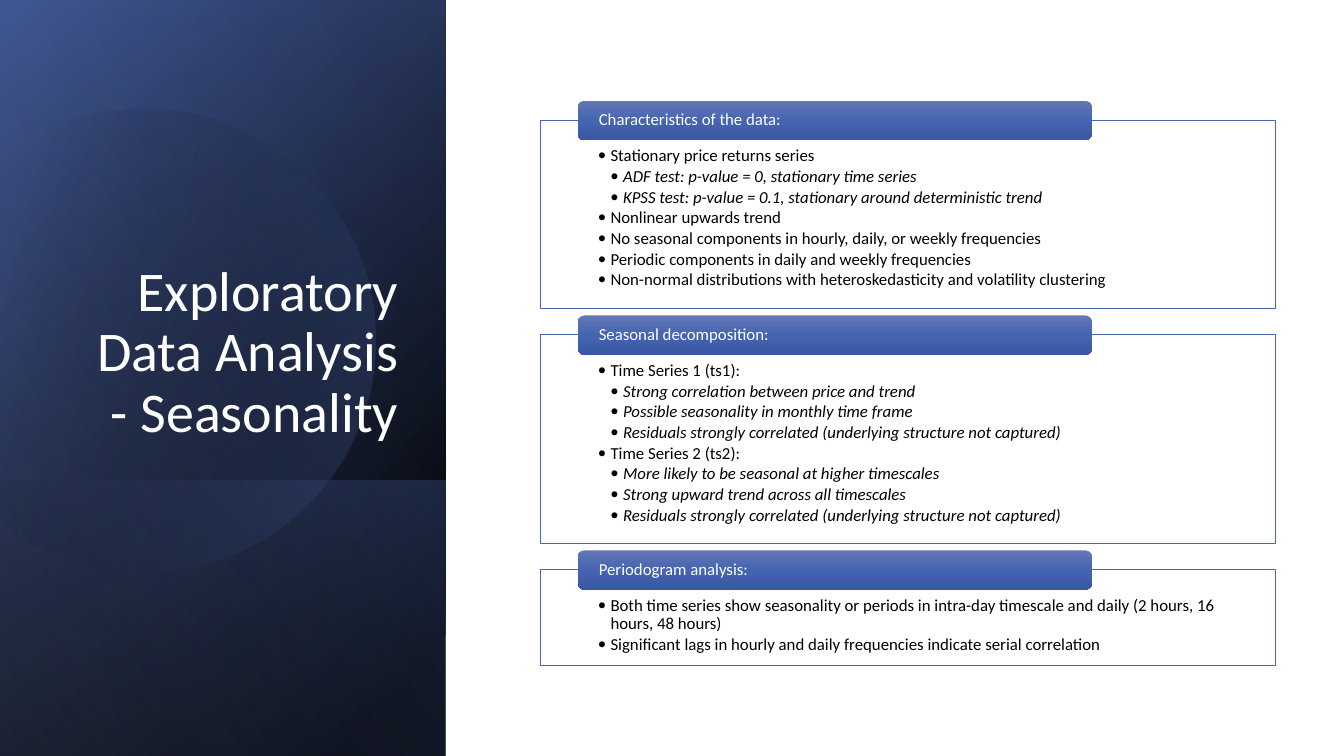
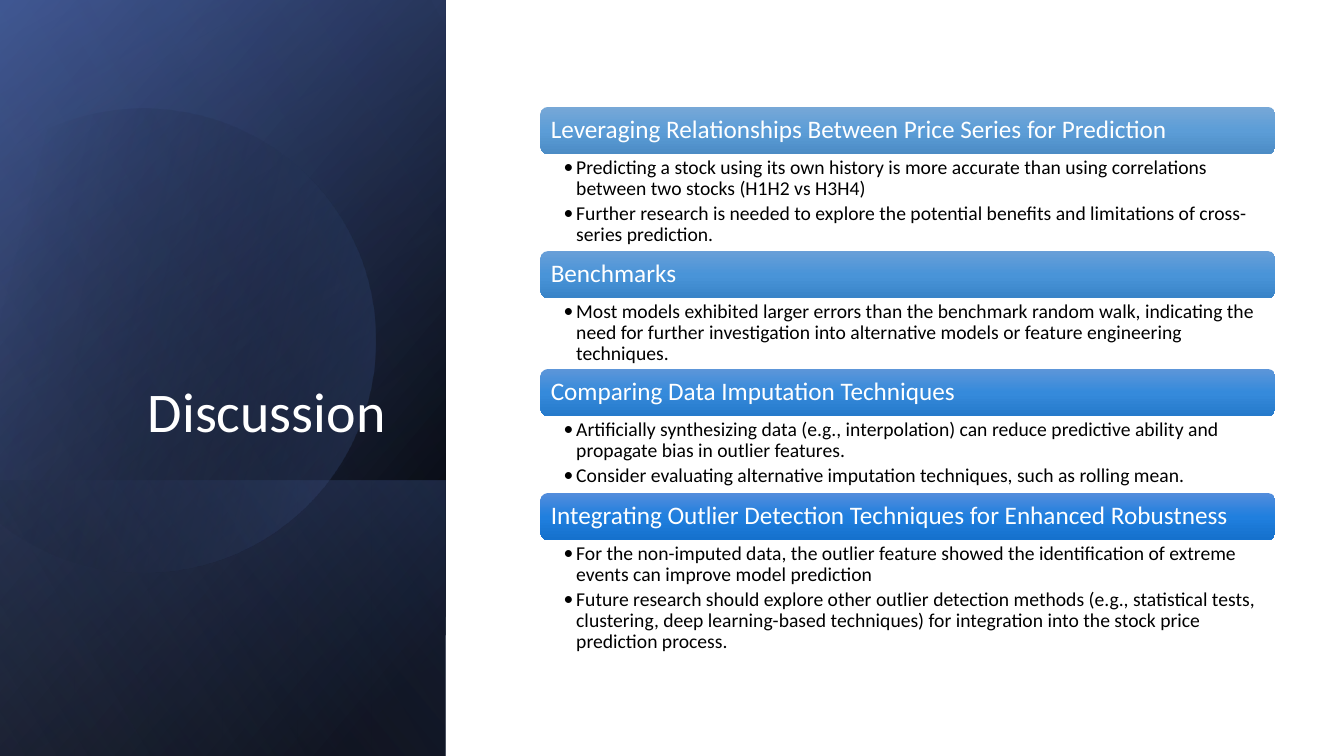
from dataclasses import dataclass

from pptx import Presentation
from pptx.dml.color import RGBColor
from pptx.enum.shapes import MSO_SHAPE
from pptx.enum.text import MSO_ANCHOR, MSO_AUTO_SIZE, PP_ALIGN
from pptx.oxml import parse_xml
from pptx.oxml.ns import nsdecls, qn
from pptx.util import Inches, Pt


@dataclass(frozen=True)
class Theme:
    font: str = "Calibri"
    white: str = "FFFFFF"
    black: str = "000000"
    navy: str = "384C81"
    blue: str = "4A66AC"
    pale_blue: str = "90A2CF"
    seasonality_header: tuple = ("6378B7", "4564B1", "3957A2")
    discussion_headers: tuple = (
        ("77A8D7", "5C9DD7", "4C8CC5"),
        ("699FD8", "4994D8", "3984C8"),
        ("5D96D9", "358ADB", "267ACB"),
        ("538DDC", "207FDE", "1571CD"),
    )
    title_size: int = 40
    heading_size: int = 18
    body_size: int = 14
    small_size: int = 12
    line_spacing: float = 0.9


theme = Theme()


def paint_gradient(shape, stops, angle):
    shape.shadow.inherit = False
    shape.line.fill.background()
    shape.fill.background()
    stop_xml = "".join(
        f'<a:gs pos="{position * 1000}"><a:srgbClr val="{color}">'
        f'<a:alpha val="{opacity * 1000}"/></a:srgbClr></a:gs>'
        for position, color, opacity in stops
    )
    gradient = parse_xml(
        f'<a:gradFill {nsdecls("a")} rotWithShape="1"><a:gsLst>{stop_xml}</a:gsLst>'
        f'<a:lin ang="{angle * 60000}" scaled="0"/></a:gradFill>'
    )
    properties = shape.element.spPr
    properties.replace(properties.find(qn("a:noFill")), gradient)


def write_text(shape, lines, size, color, margins, anchor, space_after=0, bullets=False):
    frame = shape.text_frame
    frame.word_wrap = True
    frame.vertical_anchor = anchor
    frame.margin_left, frame.margin_top, frame.margin_right, frame.margin_bottom = map(Inches, margins)
    for index, (level, text) in enumerate(lines):
        paragraph = frame.paragraphs[0] if index == 0 else frame.add_paragraph()
        paragraph.text = text
        paragraph.level = level
        paragraph.alignment = PP_ALIGN.LEFT
        paragraph.line_spacing = theme.line_spacing
        paragraph.space_after = Pt(space_after)
        paragraph.font.name = theme.font
        paragraph.font.size = Pt(size)
        paragraph.font.italic = level == 2
        paragraph.font.color.rgb = RGBColor.from_string(color)
        if bullets:
            properties = paragraph._p.get_or_add_pPr()
            properties.set("marL", str(Inches(0.125 * level)))
            properties.set("indent", str(Inches(-0.125)))
            for bullet_part in (f'buFont {nsdecls("a")} typeface="{theme.font}"', f'buChar {nsdecls("a")} char="•"'):
                properties.insert_element_before(
                    parse_xml(f"<a:{bullet_part}/>"), "a:tabLst", "a:defRPr", "a:extLst"
                )


presentation = Presentation()
presentation.slide_width = Inches(13.33)
presentation.slide_height = Inches(7.5)
layout = presentation.slide_layouts[5]

slides = []
for title_text in ("Exploratory Data Analysis - Seasonality", "Discussion "):
    slide = presentation.slides.add_slide(layout)
    title = slide.shapes.title
    title.left, title.top, title.width, title.height = map(Inches, (0.64, 1.84, 3.41, 2.62))
    title.text_frame.text = title_text
    title.text_frame.word_wrap = True
    title.text_frame.auto_size = MSO_AUTO_SIZE.NONE
    title.text_frame.vertical_anchor = MSO_ANCHOR.BOTTOM
    paragraph = title.text_frame.paragraphs[0]
    paragraph.alignment = PP_ALIGN.RIGHT
    paragraph.line_spacing = theme.line_spacing
    paragraph.font.name = theme.font
    paragraph.font.size = Pt(theme.title_size)
    paragraph.font.color.rgb = RGBColor.from_string(theme.white)
    slides.append(slide)
seasonality_slide, discussion_slide = slides

full_panel = (-1.54, 1.54, 7.5, 4.42)
lower_panel = (0.84, 3.93, 2.74, 4.42)
panel_layers = [
    (full_panel, [(8, theme.black, 100), (100, theme.navy, 100)], 50),
    (full_panel, [(0, theme.black, 0), (99, theme.blue, 46)], 30),
    (lower_panel, [(2, theme.blue, 29), (100, theme.black, 30)], 130),
    (full_panel, [(0, theme.black, 0), (99, theme.pale_blue, 11)], 120),
]
panel_shapes = []
for place, stops, angle in panel_layers:
    layer = seasonality_slide.shapes.add_shape(MSO_SHAPE.RECTANGLE, *map(Inches, place))
    layer.rotation = 90
    layer.element.spPr.xfrm.set("flipH", "1")
    paint_gradient(layer, stops, angle)
    panel_shapes.append(layer)

circle = seasonality_slide.shapes.add_shape(
    MSO_SHAPE.CHORD, Inches(-0.88), Inches(1.08), Inches(4.6), Inches(4.6)
)
adjustment_per_degree = 0.6
circle.adjustments[0] = 242 * adjustment_per_degree
circle.adjustments[1] = 150 * adjustment_per_degree
circle.rotation = 343.9
paint_gradient(circle, [(29, theme.black, 0), (100, theme.blue, 43)], 30)
panel_shapes.insert(3, circle)

for index, shape in enumerate(panel_shapes):
    layout.shapes.element.insert(2 + index, shape.element)

content_left, content_width = 5.36, 7.29

seasonality_sections = [
    ("Characteristics of the data:", 1.87, [
        (1, "Stationary price returns series"),
        (2, "ADF test: p-value = 0, stationary time series"),
        (2, "KPSS test: p-value = 0.1, stationary around deterministic trend"),
        (1, "Nonlinear upwards trend"),
        (1, "No seasonal components in hourly, daily, or weekly frequencies"),
        (1, "Periodic components in daily and weekly frequencies"),
        (1, "Non-normal distributions with heteroskedasticity and volatility clustering"),
    ]),
    ("Seasonal decomposition:", 2.07, [
        (1, "Time Series 1 (ts1):"),
        (2, "Strong correlation between price and trend"),
        (2, "Possible seasonality in monthly time frame"),
        (2, "Residuals strongly correlated (underlying structure not captured)"),
        (1, "Time Series 2 (ts2):"),
        (2, "More likely to be seasonal at higher timescales"),
        (2, "Strong upward trend across all timescales"),
        (2, "Residuals strongly correlated (underlying structure not captured)"),
    ]),
    ("Periodogram analysis:", 0.95, [
        (1, "Both time series show seasonality or periods in intra-day timescale and daily "
            "(2 hours, 16 hours, 48 hours)"),
        (1, "Significant lags in hourly and daily frequencies indicate serial correlation"),
    ]),
]
top = 1.19
for heading, height, lines in seasonality_sections:
    box = seasonality_slide.shapes.add_shape(
        MSO_SHAPE.RECTANGLE, Inches(content_left), Inches(top), Inches(content_width), Inches(height)
    )
    box.shadow.inherit = False
    box.fill.solid()
    box.fill.fore_color.rgb = RGBColor.from_string(theme.white)
    box.line.color.rgb = RGBColor.from_string(theme.blue)
    box.line.width = Pt(0.5)
    write_text(box, lines, theme.small_size, theme.black, (0.57, 0.27, 0.57, 0.09),
               MSO_ANCHOR.TOP, space_after=1.8, bullets=True)
    header = seasonality_slide.shapes.add_shape(
        MSO_SHAPE.ROUNDED_RECTANGLE, Inches(5.73), Inches(top - 0.19), Inches(5.1), Inches(0.39)
    )
    paint_gradient(header, [(50 * i, color, 100) for i, color in enumerate(theme.seasonality_header)], 90)
    write_text(header, [(0, heading)], theme.small_size, theme.white, (0.19, 0, 0.19, 0), MSO_ANCHOR.MIDDLE)
    top += height + 0.26

discussion_sections = [
    ("Leveraging Relationships Between Price Series for Prediction", 0.96, [
        "Predicting a stock using its own history is more accurate than using correlations "
        "between two stocks (H1H2 vs H3H4)",
        "Further research is needed to explore the potential benefits and limitations of "
        "cross-series prediction.",
    ]),
    ("Benchmarks", 0.7, [
        "Most models exhibited larger errors than the benchmark random walk, indicating the need for "
        "further investigation into alternative models or feature engineering techniques.",
    ]),
    ("Comparing Data Imputation Techniques", 0.76, [
        "Artificially synthesizing data (e.g., interpolation) can reduce predictive ability and "
        "propagate bias in outlier features.",
        "Consider evaluating alternative imputation techniques, such as rolling mean.",
    ]),
    ("Integrating Outlier Detection Techniques for Enhanced Robustness", 1.18, [
        "For the non-imputed data, the outlier feature showed the identification of extreme events "
        "can improve model prediction",
        "Future research should explore other outlier detection methods (e.g., statistical tests, "
        "clustering, deep learning-based techniques) for integration into the stock price "
        "prediction process.",
    ]),
]
header_height = 0.47
top = 1.06
for (heading, height, lines), colors in zip(discussion_sections, theme.discussion_headers):
    header = discussion_slide.shapes.add_shape(
        MSO_SHAPE.ROUNDED_RECTANGLE,
        Inches(content_left), Inches(top), Inches(content_width), Inches(header_height),
    )
    paint_gradient(header, [(50 * i, color, 100) for i, color in enumerate(colors)], 90)
    write_text(header, [(0, heading)], theme.heading_size, theme.white, (0.08, 0.07, 0.08, 0.07), MSO_ANCHOR.MIDDLE)
    body = discussion_slide.shapes.add_textbox(
        Inches(content_left), Inches(top + header_height), Inches(content_width), Inches(height)
    )
    write_text(body, [(1, line) for line in lines], theme.body_size, theme.black,
               (0.23, 0.03, 0.14, 0.03), MSO_ANCHOR.TOP, space_after=2.8, bullets=True)
    top += header_height + height

presentation.save("out.pptx")
